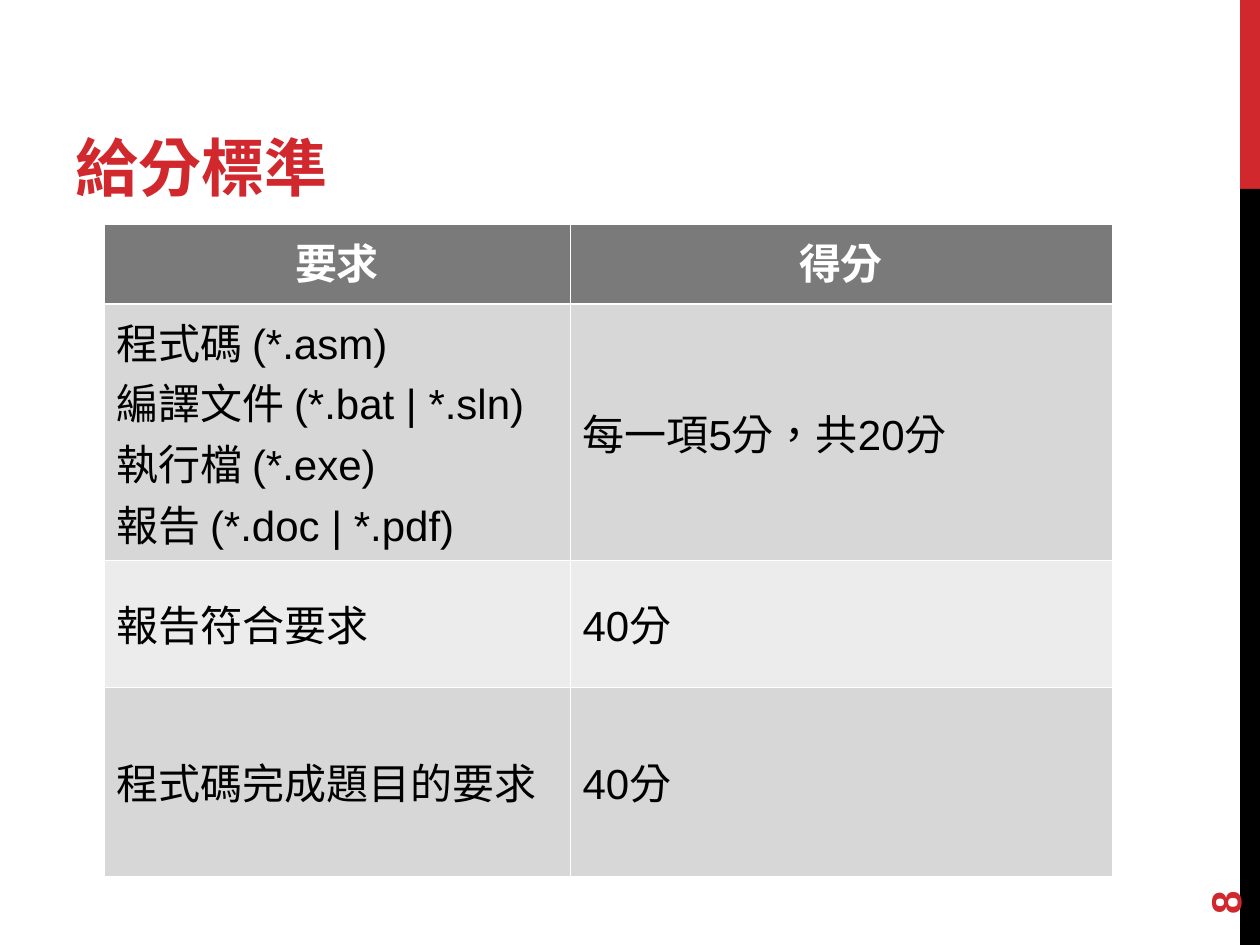
"""Build the grading criteria slide with its table of requirements and points."""
from typing import NamedTuple

from lxml.etree import SubElement
from pptx import Presentation
from pptx.dml.color import RGBColor
from pptx.enum.shapes import MSO_SHAPE as Shape
from pptx.enum.text import MSO_ANCHOR as Anchor, PP_ALIGN as Align
from pptx.oxml.ns import qn
from pptx.util import Emu, Pt

PX = 914400 / 126
RED, BLACK, WHITE = "D1282E", "000000", "FFFFFF"
HEADER, DARK_BAND, LIGHT_BAND = "7A7A7A", "D7D7D7", "ECECEC"
THIN, THICK = 0.45, 1.47


class Box(NamedTuple):
    left: int
    top: int
    width: int
    height: int


class Bar(NamedTuple):
    box: Box
    color: str


class Criterion(NamedTuple):
    requirement: str
    points: str
    height: int
    fill: str


BARS = [Bar(Box(1240, 0, 20, 189), RED), Bar(Box(1240, 189, 20, 756), BLACK)]
COLUMN_WIDTHS = [466, 542]
CRITERIA = [
    Criterion("要求", "得分", 80, HEADER),
    Criterion("程式碼 (*.asm)\n編譯文件 (*.bat | *.sln) 執行檔 (*.exe)\n報告 (*.doc | *.pdf)",
              "每一項5分，共20分", 256, DARK_BAND),
    Criterion("報告符合要求", "40分", 127, LIGHT_BAND),
    Criterion("程式碼完成題目的要求", "40分", 189, DARK_BAND),
]


def px(length: int) -> Emu:
    return Emu(round(length * PX))


def rgb(color: str) -> RGBColor:
    return RGBColor.from_string(color)


def place(box: Box) -> list[Emu]:
    return [px(length) for length in box]


def write(frame, text: str, *, size: int = 24, font: str = "Arial", color: str = BLACK,
          bold: bool = False, align: Align = Align.LEFT) -> None:
    frame.word_wrap = True
    frame.text = text
    for paragraph in frame.paragraphs:
        paragraph.alignment = align
        for run in paragraph.runs:
            run.font.size, run.font.name, run.font.bold = Pt(size), font, bold
            run.font.color.rgb = rgb(color)
            run._r.get_or_add_rPr().set("lang", "zh-TW")


def add_bar(slide, bar: Bar) -> None:
    stripe = slide.shapes.add_shape(Shape.RECTANGLE, *place(bar.box))
    stripe.shadow.inherit = False
    stripe.fill.solid()
    stripe.fill.fore_color.rgb = rgb(bar.color)
    stripe.line.fill.background()


def add_label(slide, box: Box, text: str, anchor: Anchor, rotation: int = 0, **style) -> None:
    label = slide.shapes.add_textbox(*place(box))
    label.rotation = rotation
    write(label.text_frame, text, **style)
    label.text_frame.vertical_anchor = anchor


def add_borders(cell, top: float, bottom: float) -> None:
    properties = cell._tc.get_or_add_tcPr()
    for side, width in (("L", THIN), ("R", THIN), ("T", top), ("B", bottom)):
        line = SubElement(properties, qn(f"a:ln{side}"), w=str(Pt(width)))
        SubElement(SubElement(line, qn("a:solidFill")), qn("a:srgbClr"), val=WHITE)


def add_criteria_table(slide, left: int, top: int) -> None:
    box = Box(left, top, sum(COLUMN_WIDTHS), sum(c.height for c in CRITERIA))
    table = slide.shapes.add_table(len(CRITERIA), len(COLUMN_WIDTHS), *place(box)).table
    for column, width in zip(table.columns, COLUMN_WIDTHS):
        column.width = px(width)
    for index, criterion in enumerate(CRITERIA):
        table.rows[index].height = px(criterion.height)
        is_header = index == 0
        style = dict(color=WHITE, bold=True, align=Align.CENTER) if is_header else {}
        for cell, text in zip(table.rows[index].cells, (criterion.requirement, criterion.points)):
            write(cell.text_frame, text, **style)
            cell.vertical_anchor = Anchor.TOP if is_header else Anchor.MIDDLE
            add_borders(cell, top=THICK if index == 1 else THIN,
                        bottom=THICK if is_header else THIN)
            cell.fill.solid()
            cell.fill.fore_color.rgb = rgb(criterion.fill)


def main() -> None:
    deck = Presentation()
    deck.slide_width, deck.slide_height = px(1260), px(945)
    slide = deck.slides.add_slide(deck.slide_layouts[6])
    for bar in BARS:
        add_bar(slide, bar)
    add_label(slide, Box(63, 21, 798, 189), "給分標準", Anchor.BOTTOM,
              size=36, font="Montserrat", color=RED, bold=True)
    add_criteria_table(slide, 104, 224)
    add_label(slide, Box(1134, 811, 181, 50), "8", Anchor.MIDDLE, rotation=270,
              color=RED, bold=True)
    deck.save("out.pptx")


if __name__ == "__main__":
    main()
